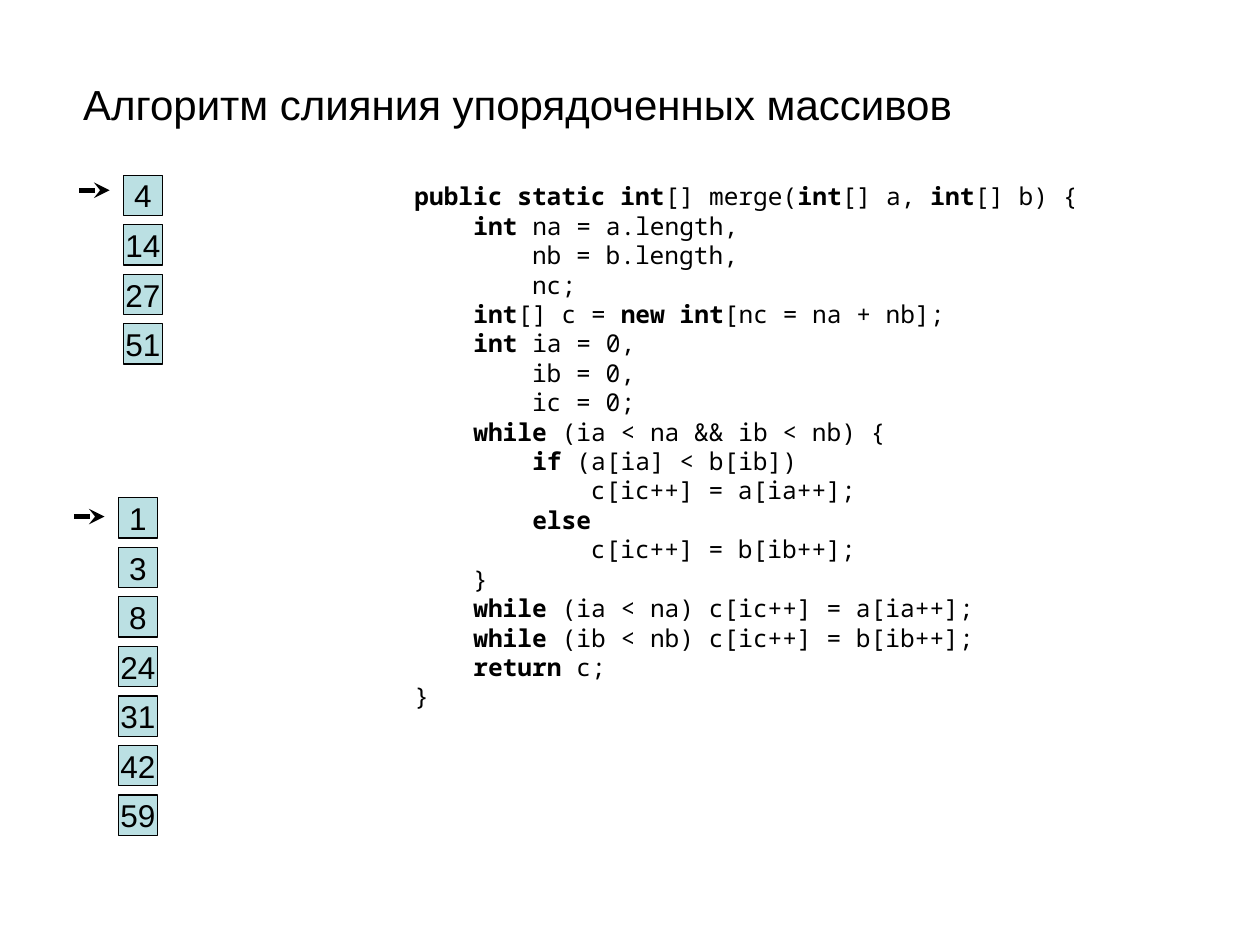
"""Build the slide about merging two sorted arrays."""
from lxml import etree
from pptx import Presentation
from pptx.dml.color import RGBColor
from pptx.enum import shapes, text
from pptx.oxml.ns import qn
from pptx.util import Inches, Pt

TITLE = "Алгоритм слияния упорядоченных массивов"
ARRAYS = [
    {"values": [4, 14, 27, 51], "left": 0.98, "top": 1.39, "pointer_y": 1.51},
    {"values": [1, 3, 8, 24, 31, 42, 59], "left": 0.94, "top": 3.95, "pointer_y": 4.1},
]
KEYWORD_MARK = "*"
CODE = """\
*public static int*[] merge(*int*[] a, *int*[] b) {
    *int* na = a.length,
        nb = b.length,
        nc;
    *int*[] c = *new int*[nc = na + nb];
    *int* ia = 0,
        ib = 0,
        ic = 0;
    *while* (ia < na && ib < nb) {
        *if* (a[ia] < b[ib])
            c[ic++] = a[ia++];
        *else*
            c[ic++] = b[ib++];
    }
    *while* (ia < na) c[ic++] = a[ia++];
    *while* (ib < nb) c[ic++] = b[ib++];
    *return* c;
}"""
COLORS = {"ink": "000000", "cell": "BBE0E3"}
CELL_WIDTH, CELL_HEIGHT = 0.31, 0.32
CELL_PITCH = 2.36 / 6
POINTER_OFFSET, POINTER_LENGTH = 0.35, 0.24


def color(name):
    return RGBColor.from_string(COLORS[name])


def style(font, family, size):
    font.name, font.size = family, Pt(size)
    font.color.rgb = color("ink")


def add_title(slide):
    title = slide.shapes.add_textbox(Inches(0.47), Inches(0.52), Inches(9), Inches(0.61))
    frame = title.text_frame
    frame.word_wrap = True
    frame.margin_left = Inches(0.19)
    frame.vertical_anchor = text.MSO_ANCHOR.MIDDLE
    frame.text = TITLE
    style(frame.paragraphs[0].font, "Arial", 24)


def add_cell(slide, value, left, top):
    cell = slide.shapes.add_shape(
        shapes.MSO_SHAPE.RECTANGLE,
        Inches(left), Inches(top), Inches(CELL_WIDTH), Inches(CELL_HEIGHT))
    cell.shadow.inherit = False
    cell.fill.solid()
    cell.fill.fore_color.rgb = color("cell")
    cell.line.color.rgb = color("ink")
    cell.line.width = Pt(0.75)
    frame = cell.text_frame
    frame.word_wrap = False
    frame.vertical_anchor = text.MSO_ANCHOR.MIDDLE
    frame.text = str(value)
    frame.paragraphs[0].alignment = text.PP_ALIGN.CENTER
    style(frame.paragraphs[0].font, "Arial", 18)


def add_pointer(slide, left, y):
    pointer = slide.shapes.add_connector(
        shapes.MSO_CONNECTOR.STRAIGHT,
        Inches(left), Inches(y), Inches(left + POINTER_LENGTH), Inches(y))
    pointer.line.color.rgb = color("ink")
    pointer.line.width = Pt(3)
    etree.SubElement(pointer.line._get_or_add_ln(), qn("a:tailEnd"), type="stealth")
    etree.SubElement(pointer._element.spPr, qn("a:effectLst"))


def add_code(slide):
    listing = slide.shapes.add_textbox(Inches(3.19), Inches(1.39), Inches(5.48), Inches(4.54))
    frame = listing.text_frame
    frame.word_wrap = False
    frame.auto_size = text.MSO_AUTO_SIZE.SHAPE_TO_FIT_TEXT
    for number, line in enumerate(CODE.splitlines()):
        paragraph = frame.add_paragraph() if number else frame.paragraphs[0]
        style(paragraph.font, "Noto Sans Mono", 14)
        for index, part in enumerate(line.split(KEYWORD_MARK)):
            if part:
                run = paragraph.add_run()
                run.text = part
                run.font.bold = index % 2 == 1


def main():
    deck = Presentation()
    deck.slide_width, deck.slide_height = Inches(10), Inches(7.5)
    slide = deck.slides.add_slide(deck.slide_layouts[6])
    add_title(slide)
    for array in ARRAYS:
        for index, value in enumerate(array["values"]):
            add_cell(slide, value, array["left"], array["top"] + index * CELL_PITCH)
    for array in ARRAYS:
        add_pointer(slide, array["left"] - POINTER_OFFSET, array["pointer_y"])
    add_code(slide)
    deck.save("out.pptx")


if __name__ == "__main__":
    main()
